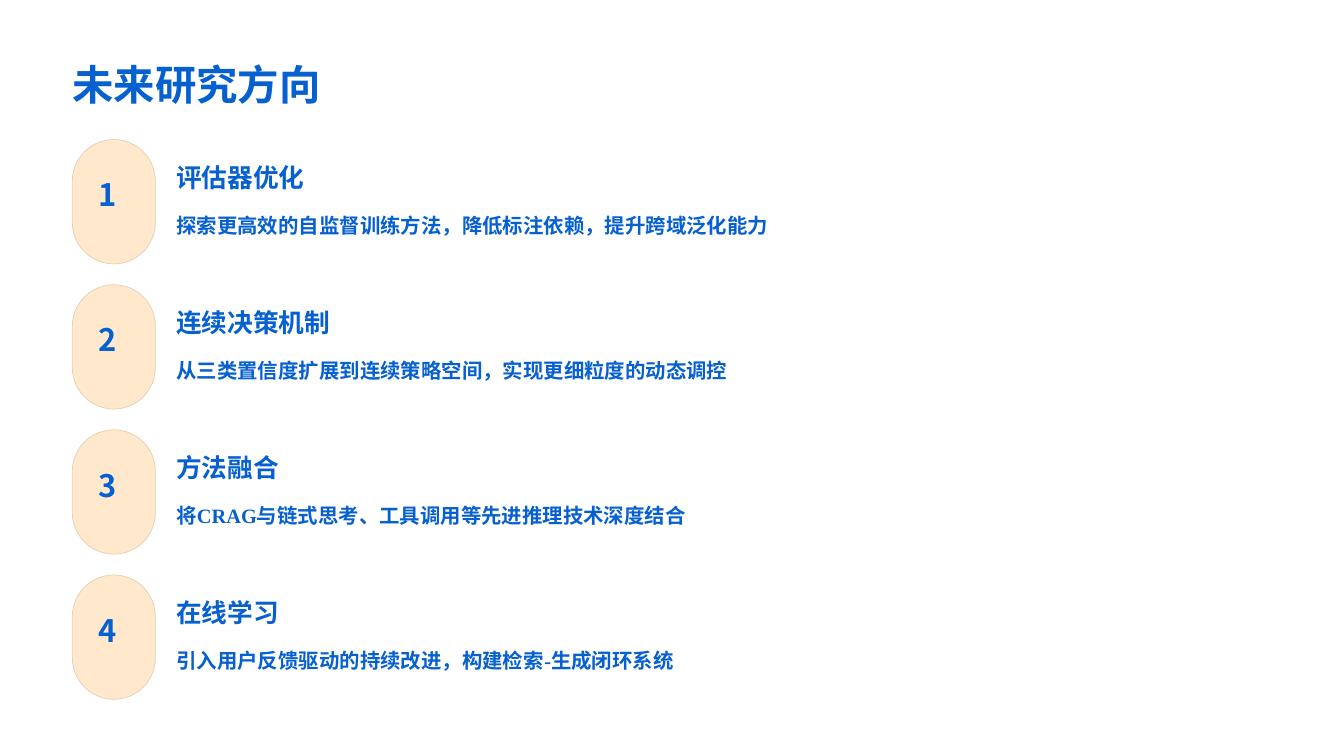
from lxml import etree
from pptx import Presentation
from pptx.dml.color import RGBColor
from pptx.enum.shapes import MSO_SHAPE
from pptx.oxml.ns import qn
from pptx.util import Pt

ROUNDED = MSO_SHAPE.ROUNDED_RECTANGLE
SANS = "Noto Sans CJK SC"
SERIF = "Times New Roman"
BLUE, CREAM, TAN, WHITE = "0660D0", "FFE8CC", "E5CEB2", "FFFFFF"

TITLE = "未来研究方向"
DIRECTIONS = [
    ("评估器优化", "探索更高效的自监督训练方法，降低标注依赖，提升跨域泛化能力"),
    ("连续决策机制", "从三类置信度扩展到连续策略空间，实现更细粒度的动态调控"),
    ("方法融合", "将CRAG与链式思考、工具调用等先进推理技术深度结合"),
    ("在线学习", "引入用户反馈驱动的持续改进，构建检索-生成闭环系统"),
]
LEFT, TEXT_LEFT = 62, 151.2
FIRST_TOP, ROW_STEP = 119.6, 124.4


def color(value):
    return RGBColor.from_string(value)


def add_text(s, text, left, top, width, height, size, spacing, font=SANS):
    tf = s.shapes.add_textbox(Pt(left), Pt(top), Pt(width), Pt(height)).text_frame
    tf.word_wrap = True
    tf.margin_left = tf.margin_top = tf.margin_right = tf.margin_bottom = 0
    p = tf.paragraphs[0]
    p.text = text
    p.line_spacing = Pt(spacing)
    r = p.runs[0]
    r.font.size = Pt(size)
    r.font.bold = True
    r.font.name = font
    r.font.color.rgb = color(BLUE)
    # Chinese characters always use the sans face
    etree.SubElement(r.font._element, qn("a:ea"), typeface=SANS)


def add_badge(s, number, top):
    sp = s.shapes.add_shape(ROUNDED, Pt(LEFT), Pt(top), Pt(71.2), Pt(106.6))
    sp.adjustments[0] = 0.5
    sp.shadow.inherit = False
    sp.fill.solid()
    sp.fill.fore_color.rgb = color(CREAM)
    sp.line.color.rgb = color(TAN)
    sp.line.width = Pt(0.6)
    add_text(s, str(number), 84.2, top + 36.5, 26.6, 33, 26.5, 26.5)


def add_direction(s, number, heading, detail):
    top = FIRST_TOP + (number - 1) * ROW_STEP
    add_badge(s, number, top)
    add_text(s, heading, TEXT_LEFT, top + 17.7, 222, 28, 22, 27.5)
    add_text(s, detail, TEXT_LEFT, top + 56.1, 939, 28, 17.5, 28, SERIF)


def main():
    prs = Presentation()
    prs.slide_width, prs.slide_height = Pt(1152), Pt(648)
    s = prs.slides.add_slide(prs.slide_layouts[6])

    # Background and title
    s.background.fill.solid()
    s.background.fill.fore_color.rgb = color(WHITE)
    add_text(s, TITLE, LEFT, 49, 355, 44.6, 35.5, 44)

    # Numbered research directions
    for number, (heading, detail) in enumerate(DIRECTIONS, 1):
        add_direction(s, number, heading, detail)

    prs.save("out.pptx")


if __name__ == "__main__":
    main()
